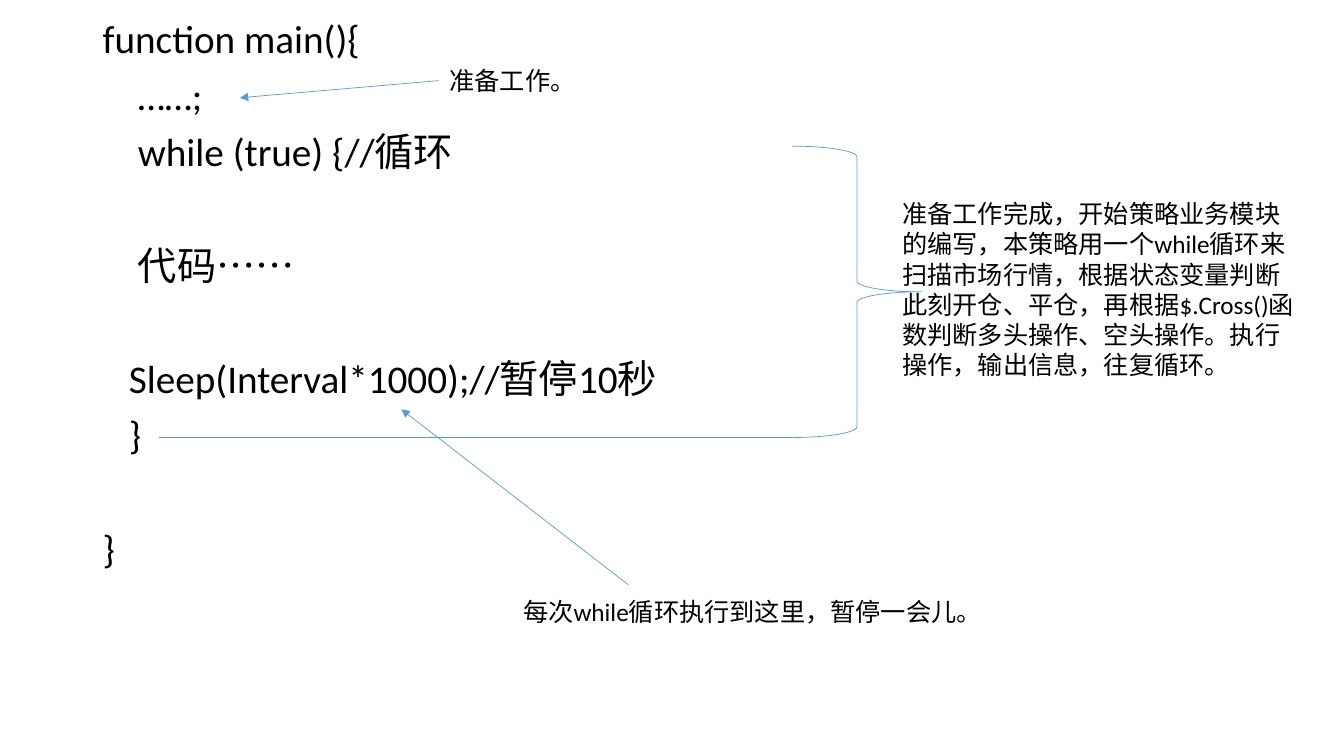
"""Builds an annotated code slide that explains a strategy's main loop."""
from pptx import Presentation
from pptx.dml.color import RGBColor
from pptx.enum.shapes import MSO_CONNECTOR, MSO_SHAPE
from pptx.oxml.ns import qn
from pptx.util import Inches, Pt
from lxml.etree import SubElement

COLORS = {"text": "000000", "line": "5B9BD5"}
FONT = "Calibri"
SPACE, LINE_PITCH = 10, 40.8

# text, indent in inches, empty lines above
CODE = [
    ("function main(){", 0, 0),
    ("……;", 0.35, 0),
    ("while (true) {//循环", 0.35, 0),
    ("代码……", 0.35, 1),
    ("Sleep(Interval*1000);//暂停10秒", 0.26, 1),
    ("}", 0.26, 0),
    ("}", 0, 1),
]
CODE_BOX = (0.92, 0.15, 11.5, 6.6)

# text, box, wraps
NOTES = [
    ("准备工作。", (4.36, 0.6, 1.46, 0.4), False),
    ("准备工作完成，开始策略业务模块的编写，本策略用一个while循环来扫描市场行情，"
     "根据状态变量判断此刻开仓、平仓，再根据$.Cross()函数判断多头操作、空头操作。"
     "执行操作，输出信息，往复循环。", (8.85, 1.92, 4.19, 1.92), True),
    ("每次while循环执行到这里，暂停一会儿。", (5.09, 5.87, 4.8, 0.4), False),
]

# from, to, arrowhead
LINES = [
    ((4.35, 0.8), (2.38, 0.97), True),
    ((1.58, 4.34), (7.86, 4.34), False),
    ((6.23, 5.8), (3.98, 4.06), True),
]
BRACE = (7.86, 1.45, 1.28, 2.89)


def inches(values):
    return [Inches(v) for v in values]


def add_text(s, lines, box, size=18, wrap=True, spacing=None, before=0):
    tf = s.shapes.add_textbox(*inches(box)).text_frame
    tf.word_wrap = wrap
    for i, (text, indent, gaps) in enumerate(lines):
        p = tf.add_paragraph() if i else tf.paragraphs[0]
        p.line_spacing = spacing
        p.space_before = Pt(before + gaps * LINE_PITCH)
        p._p.get_or_add_pPr().set("marL", str(Inches(indent)))
        r = p.add_run()
        r.text = text
        r.font.name, r.font.size = FONT, Pt(size)
        r.font.color.rgb = RGBColor.from_string(COLORS["text"])


def style_line(line):
    line.color.rgb = RGBColor.from_string(COLORS["line"])
    line.width = Pt(0.5)


def add_line(s, start, end, arrow):
    sp = s.shapes.add_connector(MSO_CONNECTOR.STRAIGHT, *inches(start + end))
    style_line(sp.line)
    if arrow:
        SubElement(sp.line._get_or_add_ln(), qn("a:tailEnd"), type="triangle")
    SubElement(sp._element.spPr, qn("a:effectLst"))


def add_brace(s, box):
    sp = s.shapes.add_shape(MSO_SHAPE.RIGHT_BRACE, *inches(box))
    sp.shadow.inherit = False
    sp.fill.background()
    style_line(sp.line)


def main():
    prs = Presentation()
    prs.slide_width, prs.slide_height = inches((13.33, 7.5))
    s = prs.slides.add_slide(prs.slide_layouts[6])
    add_text(s, CODE, CODE_BOX, size=28, spacing=0.9, before=SPACE)
    add_brace(s, BRACE)
    for start, end, arrow in LINES:
        add_line(s, start, end, arrow)
    for text, box, wrap in NOTES:
        add_text(s, [(text, 0, 0)], box, wrap=wrap)
    prs.save("out.pptx")


if __name__ == "__main__":
    main()
